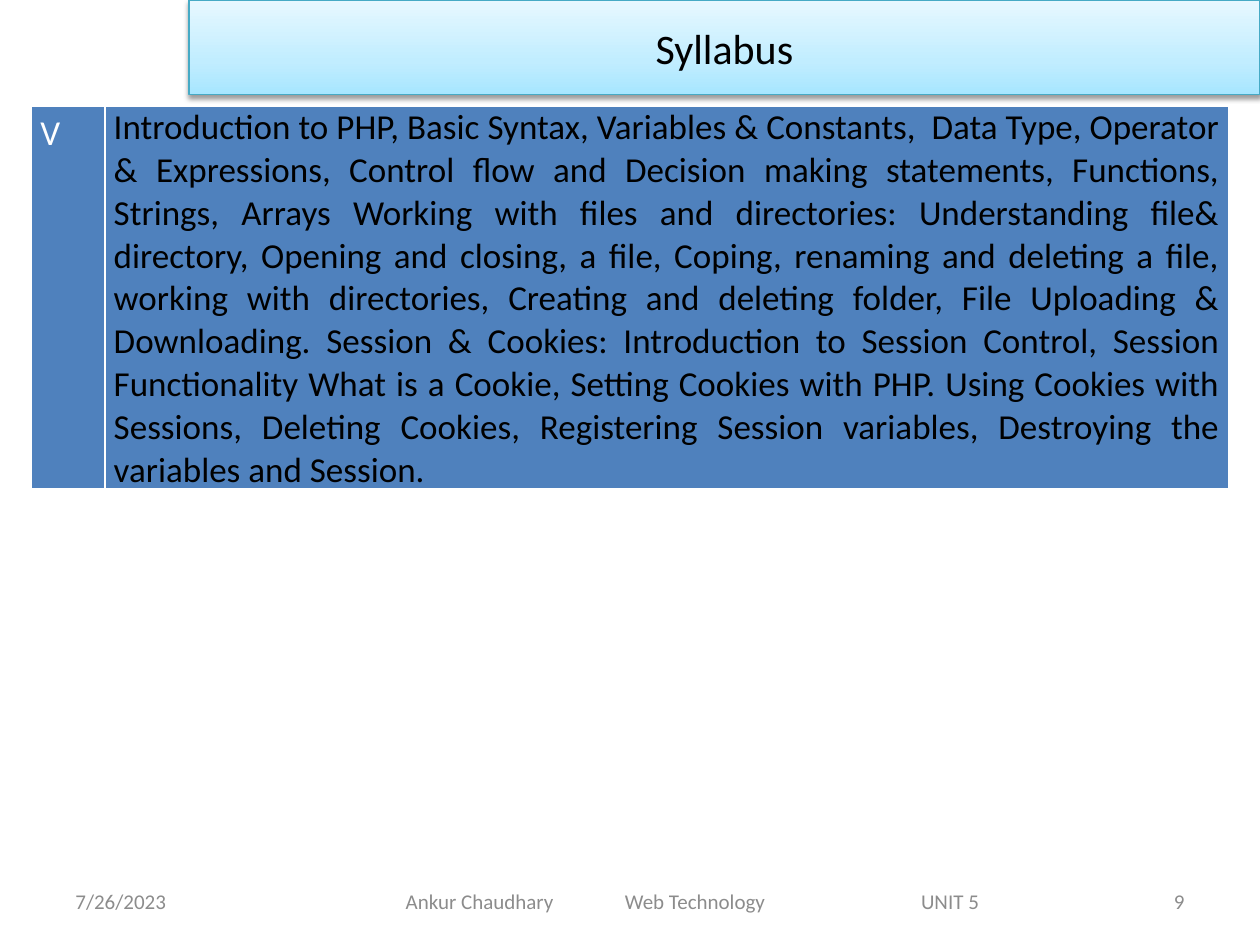
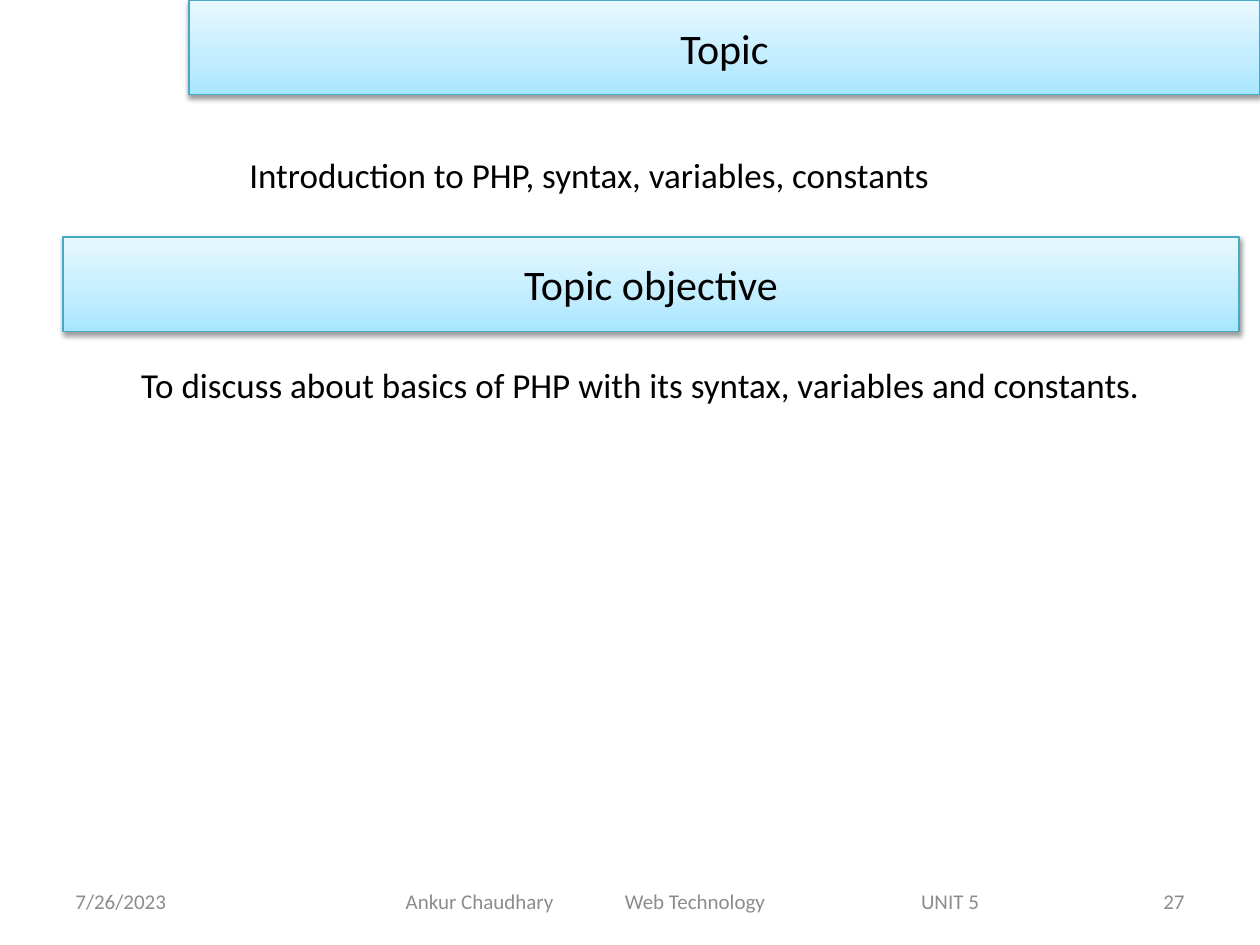
from dataclasses import dataclass

from lxml.etree import SubElement
from pptx import Presentation
from pptx.dml.color import RGBColor
from pptx.enum.shapes import MSO_SHAPE
from pptx.enum.text import MSO_ANCHOR as Anchor, MSO_AUTO_SIZE as AutoSize, PP_ALIGN as Align
from pptx.oxml import parse_xml
from pptx.oxml.ns import nsdecls, qn
from pptx.util import Inches, Pt

COLUMNS, ROWS = 120, 90
SLIDE_WIDTH, SLIDE_HEIGHT = Inches(10), Inches(7.5)
FONT = "Calibri"
BLACK, WHITE, GREY = "000000", "FFFFFF", "8C8C8C"
TABLE_BLUE, BAND_LINE = "4F81BD", "46AAC5"
BAND_STOPS = ((0, "A7E6FF"), (35, "C1EDFF"), (100, "E7F8FF"))
TITLE_ONLY, TITLE_AND_BODY = 5, 1
FOOTER_TABS = (1.74, 4.09)
CELL_BORDERS = (("lnL", 1), ("lnR", 1), ("lnT", 1), ("lnB", 3))

SYLLABUS = (
    "Introduction to PHP, Basic Syntax, Variables & Constants,  Data Type, Operator & Expressions, "
    "Control flow and Decision making statements, Functions, Strings, Arrays Working with files and "
    "directories: Understanding file& directory, Opening and closing, a file, Coping, renaming and "
    "deleting a file, working with directories, Creating and deleting folder, File Uploading & "
    "Downloading. Session & Cookies: Introduction to Session Control, Session Functionality What is "
    "a Cookie, Setting Cookies with PHP. Using Cookies with Sessions, Deleting Cookies, Registering "
    "Session variables, Destroying the variables and Session."
)


@dataclass(frozen=True)
class Area:
    column: float
    row: float
    columns: float
    rows: float

    def box(self) -> tuple[int, int, int, int]:
        return (across(self.column), down(self.row), across(self.columns), down(self.rows))


@dataclass(frozen=True)
class TextStyle:
    size: float
    color: str = BLACK
    align: Align = Align.CENTER
    anchor: Anchor = Anchor.TOP


BAND_TEXT = TextStyle(24, anchor=Anchor.MIDDLE)
CONTENT_TEXT = TextStyle(20)
FOOTER_LEFT = TextStyle(12, GREY, Align.LEFT, Anchor.MIDDLE)
FOOTER_RIGHT = TextStyle(12, GREY, Align.RIGHT, Anchor.MIDDLE)

TITLE_AREA = Area(18, 0, 102, 9)
OBJECTIVE_BAND_AREA = Area(6, 22.56, 112, 9)
TOPIC_AREA = Area(21, 14, 71, 5.25)
OBJECTIVE_AREA = Area(7, 34, 108, 38)
TABLE_AREA = Area(3, 10.1, 114, 36.6)
UNIT_COLUMNS = 7
DATE_AREA = Area(6, 83.4, 28, 4.8)
COURSE_AREA = Area(33, 83.4, 66, 4.8)
NUMBER_AREA = Area(86, 83.4, 28, 4.8)


def across(columns: float) -> int:
    return round(SLIDE_WIDTH * columns / COLUMNS)


def down(rows: float) -> int:
    return round(SLIDE_HEIGHT * rows / ROWS)


def rgb(color: str) -> RGBColor:
    return RGBColor.from_string(color)


def place(shape, area: Area) -> None:
    shape.left, shape.top, shape.width, shape.height = area.box()


def write(text_frame, text: str, style: TextStyle):
    text_frame.word_wrap = True
    text_frame.vertical_anchor = style.anchor
    paragraph = text_frame.paragraphs[0]
    paragraph.alignment = style.align
    paragraph.space_before = Pt(0)
    run = paragraph.add_run()
    run.text = text
    run.font.name = FONT
    run.font.size = Pt(style.size)
    run.font.color.rgb = rgb(style.color)
    return paragraph


def add_text(slide, area: Area, text: str, style: TextStyle):
    shape = slide.shapes.add_textbox(*area.box())
    write(shape.text_frame, text, style)
    return shape


def style_band(shape, text: str) -> None:
    stops = "".join(
        f'<a:gs pos="{position * 1000}"><a:srgbClr val="{color}"/></a:gs>'
        for position, color in BAND_STOPS
    )
    properties = shape.element.spPr
    properties.append(parse_xml(
        f'<a:gradFill {nsdecls("a")} rotWithShape="1"><a:gsLst>{stops}</a:gsLst>'
        '<a:lin ang="16200000" scaled="0"/></a:gradFill>'
    ))
    shape.line.color.rgb = rgb(BAND_LINE)
    shape.line.width = Pt(0.75)
    properties.append(parse_xml(
        f'<a:effectLst {nsdecls("a")}><a:outerShdw blurRad="{Pt(3.1)}" dist="{Pt(1.6)}" '
        f'dir="5400000" rotWithShape="0"><a:srgbClr val="{BLACK}"><a:alpha val="38000"/>'
        '</a:srgbClr></a:outerShdw></a:effectLst>'
    ))
    shape.text_frame.auto_size = AutoSize.NONE
    write(shape.text_frame, text, BAND_TEXT)


def add_footer(slide, number: int) -> None:
    add_text(slide, DATE_AREA, "7/26/2023", FOOTER_LEFT)
    add_text(slide, NUMBER_AREA, str(number), FOOTER_RIGHT)
    course = add_text(slide, COURSE_AREA, "Ankur Chaudhary\tWeb Technology\tUNIT 5", FOOTER_LEFT)
    course.text_frame.margin_left = Inches(0.47)
    properties = course.text_frame.paragraphs[0]._p.get_or_add_pPr()
    tabs = SubElement(properties, qn("a:tabLst"))
    for position in FOOTER_TABS:
        SubElement(tabs, qn("a:tab"), pos=str(Inches(position)), algn="l")


def start_slide(presentation, layout: int, title: str, number: int):
    slide = presentation.slides.add_slide(presentation.slide_layouts[layout])
    place(slide.shapes.title, TITLE_AREA)
    style_band(slide.shapes.title, title)
    add_footer(slide, number)
    return slide


def fill_cell(cell, text: str, color: str):
    cell.margin_left = cell.margin_right = Inches(0.07)
    cell.margin_top = cell.margin_bottom = 0
    properties = cell._tc.get_or_add_tcPr()
    for tag, width in CELL_BORDERS:
        properties.append(parse_xml(
            f'<a:{tag} {nsdecls("a")} w="{Pt(width)}"><a:solidFill>'
            f'<a:srgbClr val="{WHITE}"/></a:solidFill></a:{tag}>'
        ))
    cell.fill.solid()
    cell.fill.fore_color.rgb = rgb(TABLE_BLUE)
    return write(cell.text_frame, text, TextStyle(20, color, Align.JUSTIFY))


def build_syllabus(presentation) -> None:
    slide = start_slide(presentation, TITLE_ONLY, "Syllabus", 9)
    table = slide.shapes.add_table(1, 2, *TABLE_AREA.box()).table
    table.columns[0].width = across(UNIT_COLUMNS)
    table.columns[1].width = across(TABLE_AREA.columns - UNIT_COLUMNS)
    fill_cell(table.cell(0, 0), "V", WHITE).line_spacing = 1.15
    fill_cell(table.cell(0, 1), SYLLABUS, BLACK)


def build_topic(presentation) -> None:
    slide = start_slide(presentation, TITLE_AND_BODY, "Topic", 27)
    add_text(slide, TOPIC_AREA, "Introduction to PHP, syntax, variables, constants ", CONTENT_TEXT)
    band = slide.shapes.add_shape(MSO_SHAPE.RECTANGLE, *OBJECTIVE_BAND_AREA.box())
    style_band(band, "Topic objective")
    body = slide.placeholders[1]
    place(body, OBJECTIVE_AREA)
    paragraph = write(
        body.text_frame,
        "To discuss about basics of PHP with its syntax, variables and constants.",
        CONTENT_TEXT,
    )
    properties = paragraph._p.get_or_add_pPr()
    properties.set("marL", "0")
    properties.set("indent", "0")
    SubElement(properties, qn("a:buNone"))


def main() -> None:
    presentation = Presentation()
    presentation.slide_width, presentation.slide_height = SLIDE_WIDTH, SLIDE_HEIGHT
    build_syllabus(presentation)
    build_topic(presentation)
    presentation.save("out.pptx")


if __name__ == "__main__":
    main()
